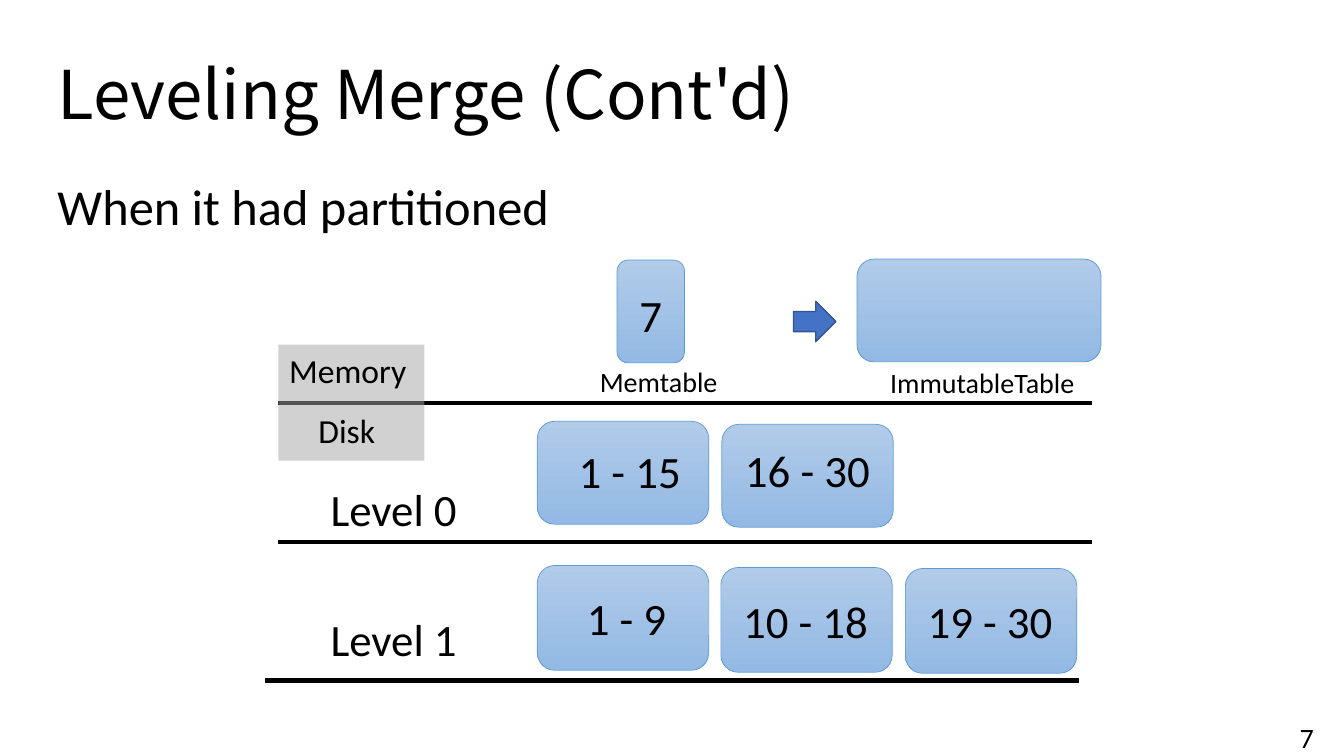
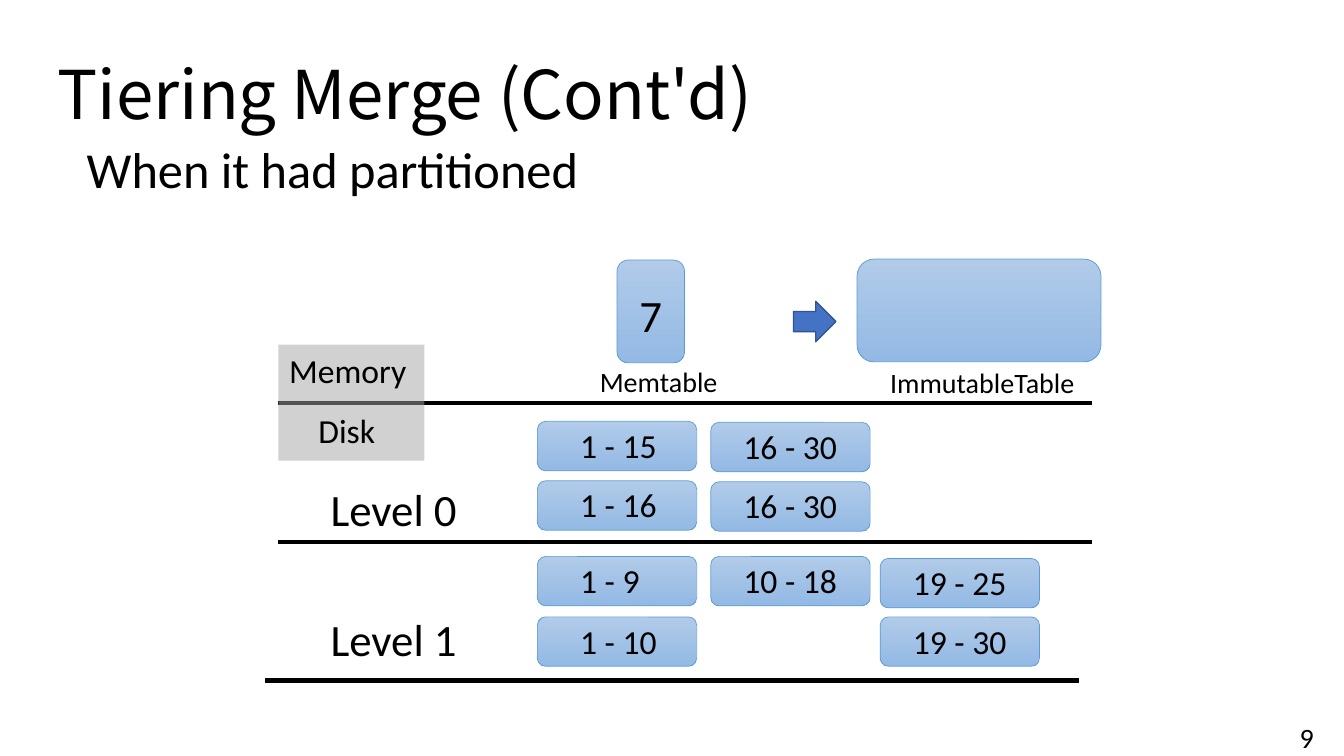
"""Build two slides on partitioned leveling and tiering merges."""
from dataclasses import dataclass

from lxml.etree import SubElement
from pptx import Presentation
from pptx.dml.color import RGBColor
from pptx.enum.shapes import MSO_CONNECTOR, MSO_SHAPE
from pptx.enum.text import MSO_ANCHOR, MSO_AUTO_SIZE, PP_ALIGN
from pptx.oxml.ns import qn
from pptx.util import Emu, Pt


@dataclass(frozen=True)
class Theme:
    ink: str = "000000"
    top: str = "B1CBE9"
    base: str = "93B9E4"
    edge: str = "5B9BD5"
    arrow: str = "4472C4"
    rim: str = "325491"
    shade: str = "A5A5A5"
    head: str = "Noto Sans CJK TC"
    face: str = "Calibri"
    title: int = 48
    lead: int = 36
    large: int = 32
    mid: int = 24
    small: int = 20


THEME = Theme()
SCALE = 9144
WIDE, HIGH = 1333, 750


def px(*sizes):
    return [Emu(size * SCALE) for size in sizes]


def color(code):
    return RGBColor.from_string(code)


def write(frame, words, size=THEME.large, font=THEME.face, align=PP_ALIGN.LEFT,
          anchor=MSO_ANCHOR.TOP, wrap=True, pads=(10, 5, 10, 5), lead=1.0):
    frame.auto_size = MSO_AUTO_SIZE.NONE
    frame.word_wrap = wrap
    frame.vertical_anchor = anchor
    (frame.margin_left, frame.margin_top,
     frame.margin_right, frame.margin_bottom) = px(*pads)
    line = frame.paragraphs[0]
    line.alignment = align
    line.line_spacing = lead
    line.space_before = Pt(0)
    run = line.add_run()
    run.text = words
    run.font.size = Pt(size)
    run.font.name = font
    run.font.color.rgb = color(THEME.ink)
    return line


class Deck:
    def __init__(self):
        self.file = Presentation()
        self.file.slide_width, self.file.slide_height = px(WIDE, HIGH)
        self.slide = None

    def start(self, title, lead, spot, page):
        self.slide = self.file.slides.add_slide(self.file.slide_layouts[1])
        head, body = self.slide.placeholders
        self.place(head, 47, 24, 953, 145)
        write(head.text_frame, title, size=THEME.title, font=THEME.head,
              anchor=MSO_ANCHOR.MIDDLE, lead=0.9)
        self.place(body, *spot, 552, 71)
        props = write(body.text_frame, lead, size=THEME.lead)._p.get_or_add_pPr()
        props.set("marL", "0")
        props.set("indent", "0")
        SubElement(props, qn("a:buNone"))
        self.label(page, 1259, 711, 74, 40, size=THEME.small,
                   align=PP_ALIGN.CENTER, anchor=MSO_ANCHOR.MIDDLE)

    def place(self, item, *box):
        item.left, item.top, item.width, item.height = px(*box)

    def label(self, words, *box, **style):
        text = self.slide.shapes.add_textbox(*px(*box))
        write(text.text_frame, words, **style)

    def rule(self, left, top, width):
        ends = px(left, top, left + width, top)
        line = self.slide.shapes.add_connector(MSO_CONNECTOR.STRAIGHT, *ends)
        line.line.color.rgb = color(THEME.ink)
        line.line.width = Pt(3)
        SubElement(line._element.spPr, qn("a:effectLst"))

    def shape(self, kind, *box):
        item = self.slide.shapes.add_shape(kind, *px(*box))
        item.shadow.inherit = False
        return item

    def block(self, words, *box, pad=0, lift=0, size=THEME.large):
        item = self.shape(MSO_SHAPE.ROUNDED_RECTANGLE, *box)
        item.fill.gradient()
        item.fill.gradient_angle = 270
        for stop, code in zip(item.fill.gradient_stops, (THEME.top, THEME.base)):
            stop.color.rgb = color(code)
        item.line.color.rgb = color(THEME.edge)
        item.line.width = Pt(0.5)
        if words:
            pads = (pad, max(-2 * lift, 0), 0, max(2 * lift, 0))
            write(item.text_frame, words, size=size, pads=pads,
                  anchor=MSO_ANCHOR.MIDDLE)

    def arrow(self, *box):
        item = self.shape(MSO_SHAPE.RIGHT_ARROW, *box)
        item.fill.solid()
        item.fill.fore_color.rgb = color(THEME.arrow)
        item.line.color.rgb = color(THEME.rim)
        item.line.width = Pt(1)

    def veil(self, *box):
        item = self.shape(MSO_SHAPE.RECTANGLE, *box)
        item.fill.solid()
        item.fill.fore_color.rgb = color(THEME.shade)
        tint = item._element.spPr.find(qn("a:solidFill"))[0]
        SubElement(tint, qn("a:alpha")).set("val", "50000")
        item.line.fill.background()

    def stage(self):
        for left, top in ((276, 400), (276, 538), (263, 675)):
            self.rule(left, top, 807)
        for words, top in (("Level 0", 473), ("Level 1", 602)):
            self.label(words, 318, top, 280, 64)
        self.block("7", 612, 258, 67, 102, pad=19, lift=-3)
        self.block("", 850, 257, 242, 102)
        self.arrow(787, 299, 42, 40)
        self.label("Memtable", 585, 357, 138, 44, size=THEME.small, wrap=False)
        self.label("ImmutableTable", 873, 358, 205, 44, size=THEME.small, wrap=False)
        self.veil(276, 342, 145, 115)
        self.label("Memory", 277, 342, 143, 50, size=THEME.mid)
        self.label("Disk", 306, 402, 143, 50, size=THEME.mid)


LEVELS = (
    ("1 - 15", 533, 418, 102, 36, 2),
    ("16 - 30", 716, 421, 102, 18, 6),
    ("1 - 9", 533, 561, 104, 44, 0),
    ("10 - 18", 715, 563, 104, 17, -1),
    ("19 - 30", 898, 564, 104, 17, 0),
)
TIERS = (
    (533, 40, (("1 - 15", 418), ("1 - 16", 477), ("1 - 9", 552), ("1 - 10", 612))),
    (705, 30, (("16 - 30", 419), ("16 - 30", 478), ("10 - 18", 552))),
    (873, 30, (("19 - 25", 554), ("19 - 30", 612))),
)


def main():
    deck = Deck()
    lead = "When it had partitioned"

    deck.start("Leveling Merge (Cont'd)", lead, (47, 169), "7")
    deck.stage()
    for words, left, top, height, pad, lift in LEVELS:
        deck.block(words, left, top, 170, height, pad=pad, lift=lift)

    deck.start("Tiering Merge (Cont'd)", lead, (76, 132), "9")
    deck.stage()
    for left, pad, cells in TIERS:
        for words, top in cells:
            deck.block(words, left, top, 158, 49, pad=pad, lift=1, size=THEME.mid)

    deck.file.save("out.pptx")


if __name__ == "__main__":
    main()
